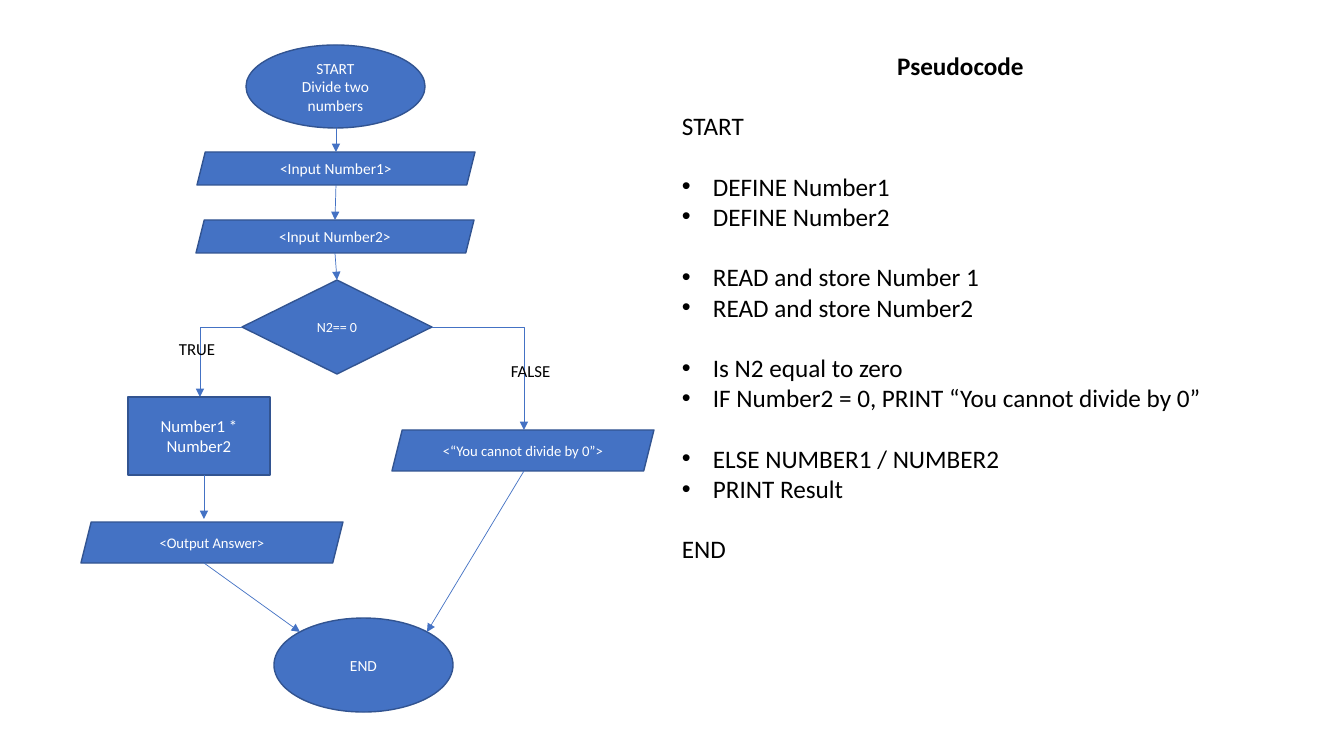
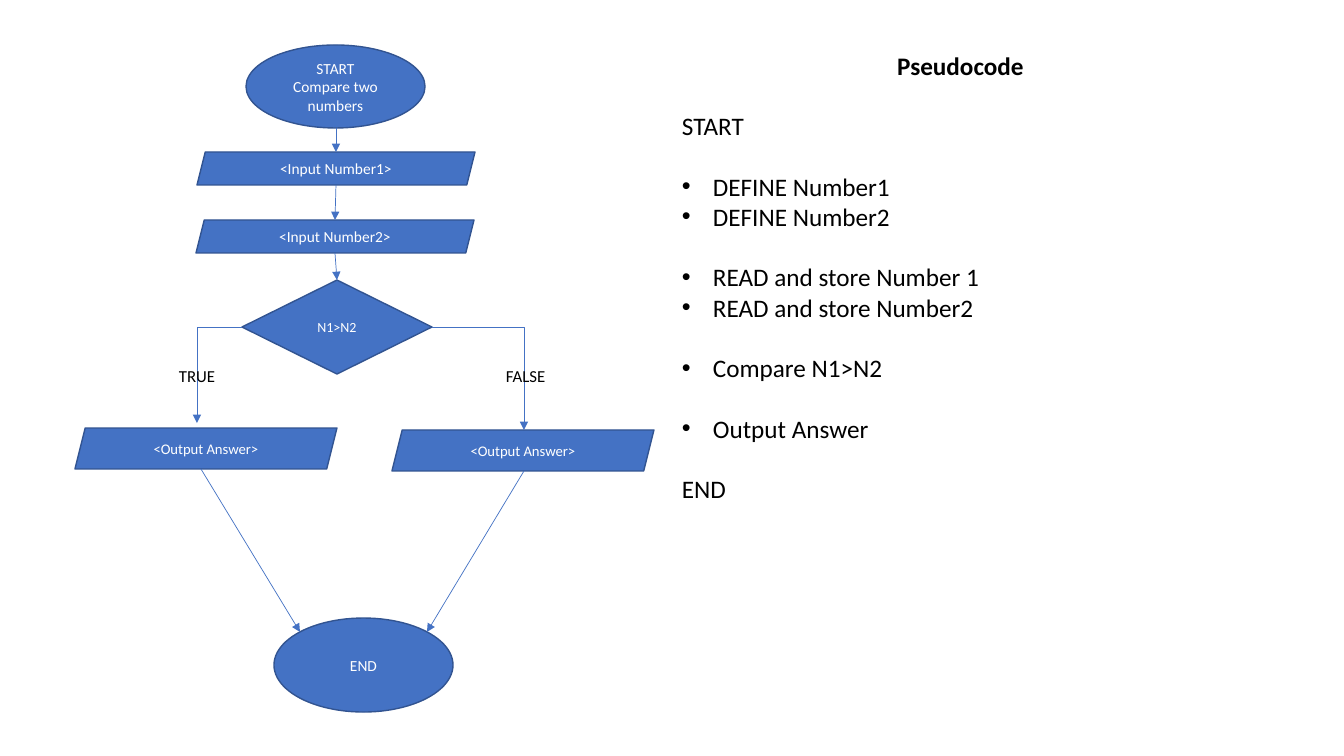
from lxml import etree
from pptx import Presentation
from pptx.dml.color import RGBColor
from pptx.enum.shapes import MSO_CONNECTOR, MSO_SHAPE
from pptx.enum.text import PP_ALIGN
from pptx.oxml.ns import qn
from pptx.util import Emu, Pt

SCALE = 914400 / 100.8
FONT = "Calibri"
BLUE = RGBColor(0x44, 0x72, 0xC4)
NAVY = RGBColor(0x32, 0x54, 0x91)
WHITE = RGBColor(0xFF, 0xFF, 0xFF)
BLACK = RGBColor(0, 0, 0)

OVAL = MSO_SHAPE.OVAL
SLANT = MSO_SHAPE.PARALLELOGRAM
RECT = MSO_SHAPE.RECTANGLE
DIAMOND = MSO_SHAPE.DIAMOND
STRAIGHT = MSO_CONNECTOR.STRAIGHT
ELBOW = MSO_CONNECTOR.ELBOW
CENTER = PP_ALIGN.CENTER

IO_SIZE = (262, 41)
GAP = Pt(21.6)
INDENT = 31
COMMON = [
    ["DEFINE Number1", "DEFINE Number2"],
    ["READ and store Number 1", "READ and store Number2"],
]


def px(n):
    """Turn pixels into EMU."""
    return Emu(round(n * SCALE))


def style(par, size, color, bold=False):
    """Format every run of a paragraph."""
    for run in par.runs:
        font = run.font
        font.name, font.size, font.bold = FONT, Pt(size), bold
        font.color.rgb = color


def add_node(slide, kind, box, text, size=11):
    """Draw a flowchart shape with centred text."""
    node = slide.shapes.add_shape(kind, *map(px, box))
    node.shadow.inherit = False
    node.fill.solid()
    node.fill.fore_color.rgb = BLUE
    node.line.color.rgb = NAVY
    node.line.width = Pt(1)
    node.text_frame.text = text
    for par in node.text_frame.paragraphs:
        par.alignment = CENTER
        style(par, size, WHITE)


def add_arrow(slide, start, end, kind=STRAIGHT):
    """Draw an arrow; an elbow runs sideways first, then down."""
    arrow = slide.shapes.add_connector(kind, *map(px, start + end))
    arrow.line.color.rgb = BLUE
    arrow.line.width = Pt(0.5)
    props = arrow._element.spPr
    if kind == ELBOW:
        props.find(qn("a:prstGeom")).set("prst", "bentConnector2")
    tail = etree.SubElement(props.find(qn("a:ln")), qn("a:tailEnd"))
    tail.set("type", "triangle")
    etree.SubElement(props, qn("a:effectLst"))


def add_box(slide, box):
    """Add a wrapping text box and return its frame."""
    frame = slide.shapes.add_textbox(*map(px, box)).text_frame
    frame.word_wrap = True
    return frame


def add_label(slide, spot, text):
    """Name a branch of the decision."""
    frame = add_box(slide, spot + (96, 30))
    frame.text = text
    style(frame.paragraphs[0], 12, BLACK)


def add_bullet(par):
    """Give a paragraph a hanging bullet."""
    props = par._p.get_or_add_pPr()
    props.set("marL", str(px(INDENT)))
    props.set("indent", str(-px(INDENT)))
    etree.SubElement(props, qn("a:buFont")).set("typeface", "Arial")
    etree.SubElement(props, qn("a:buChar")).set("char", "•")


def add_code(slide, groups):
    """Write the pseudocode, with a gap before each group."""
    frame = add_box(slide, (672, 45, 577, 591))
    title = frame.paragraphs[0]
    title.text = "Pseudocode"
    title.alignment = CENTER
    style(title, 18, BLACK, bold=True)
    for group in [["START"], *groups, ["END"]]:
        for i, text in enumerate(group):
            par = frame.add_paragraph()
            par.text = text
            style(par, 18, BLACK)
            par.space_before = Pt(0) if i else GAP
            if group in groups:
                add_bullet(par)


def add_chart_base(slide, task, test, right):
    """Draw the steps that both flowcharts share."""
    add_node(slide, OVAL, (246, 45, 179, 83), "START\n" + task)
    add_node(slide, SLANT, (197, 152, 278, 33), "<Input Number1>")
    add_node(slide, SLANT, (196, 220, 278, 33), "<Input Number2>")
    add_node(slide, DIAMOND, (242, 280, 190, 94), test, 10)
    add_node(slide, SLANT, (392, 430) + IO_SIZE, right, 10.5)
    add_node(slide, OVAL, (274, 618, 179, 94), "END")
    add_arrow(slide, (336, 128), (336, 152))
    add_arrow(slide, (336, 185), (335, 220))
    add_arrow(slide, (335, 253), (337, 280))
    add_arrow(slide, (432, 327), (524, 430), ELBOW)
    add_arrow(slide, (524, 471), (427, 632))


def add_left(slide, answer, turn, leave):
    """Draw the answer of the true branch and its arrows."""
    add_node(slide, SLANT, answer + IO_SIZE, "<Output Answer>", 10.5)
    add_arrow(slide, (242, 327), turn, ELBOW)
    add_arrow(slide, leave, (300, 632))


def add_divide(slide):
    """Build the division slide."""
    add_chart_base(slide, "Divide two numbers", "N2== 0",
                   "<“You cannot divide by 0”>")
    add_left(slide, (81, 522), (200, 397), (204, 563))
    add_node(slide, RECT, (128, 397, 142, 78), "Number1 *\nNumber2", 12)
    add_arrow(slide, (204, 475), (204, 519))
    add_label(slide, (501, 356), "FALSE")
    add_label(slide, (169, 334), "TRUE")
    add_code(slide, COMMON + [
        ["Is N2 equal to zero",
         "IF Number2 = 0, PRINT “You cannot divide by 0”"],
        ["ELSE NUMBER1 / NUMBER2", "PRINT Result"],
    ])


def add_compare(slide):
    """Build the comparison slide."""
    add_chart_base(slide, "Compare two numbers", "N1>N2", "<Output Answer>")
    add_left(slide, (75, 428), (197, 423), (201, 469))
    add_label(slide, (496, 361), "FALSE")
    add_label(slide, (169, 361), "TRUE")
    add_code(slide, COMMON + [["Compare N1>N2"], ["Output Answer"]])


def main():
    """Build and save both slides."""
    deck = Presentation()
    deck.slide_width, deck.slide_height = px(1344), px(756)
    blank = deck.slide_layouts[6]
    for build in (add_divide, add_compare):
        build(deck.slides.add_slide(blank))
    deck.save("out.pptx")


main()
